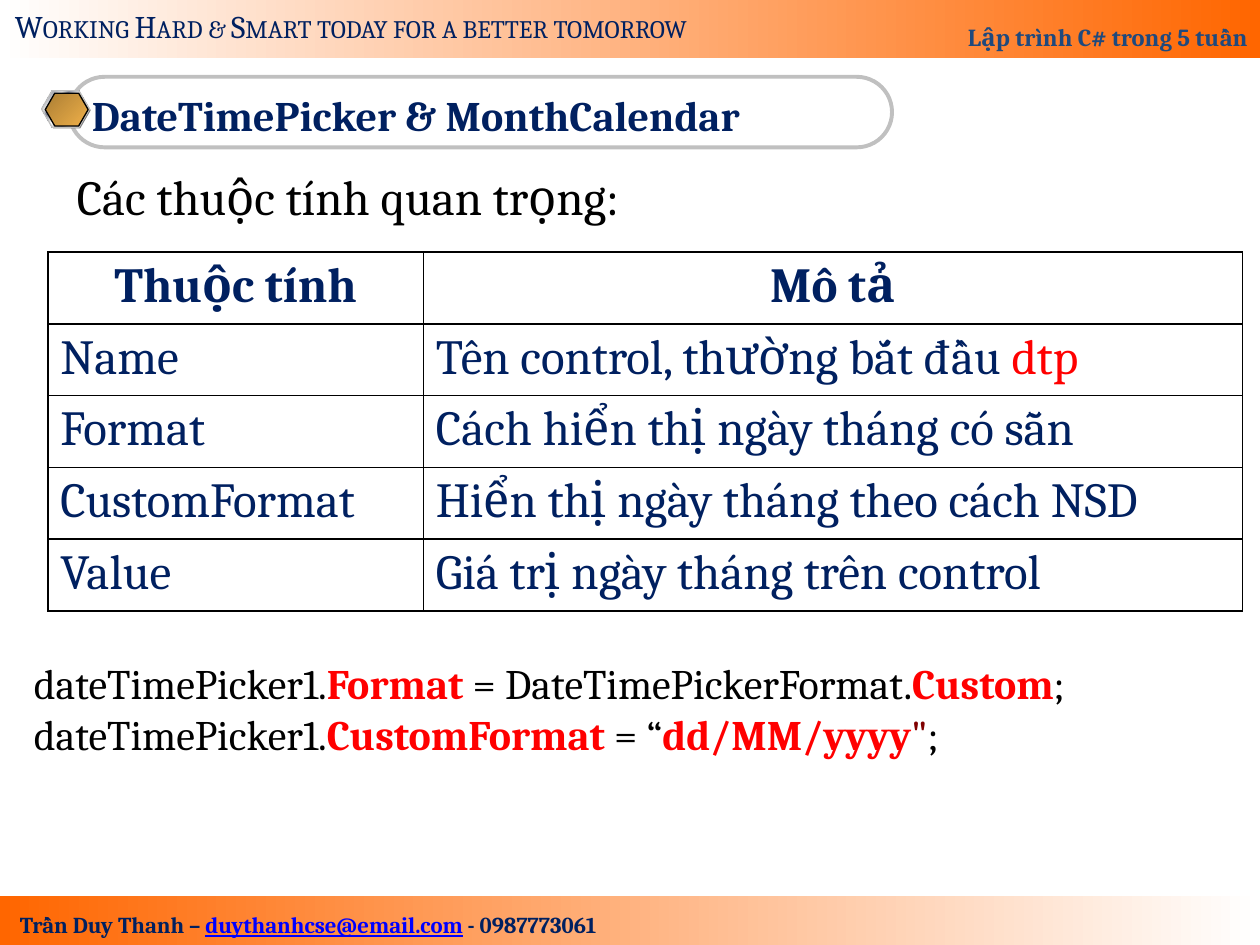
from lxml import etree
from pptx import Presentation
from pptx.dml.color import RGBColor
from pptx.enum.shapes import MSO_SHAPE
from pptx.enum.text import MSO_ANCHOR, PP_ALIGN
from pptx.oxml.ns import qn
from pptx.util import Inches, Pt

RECT, PILL, HEXAGON = MSO_SHAPE.RECTANGLE, MSO_SHAPE.ROUNDED_RECTANGLE, MSO_SHAPE.HEXAGON
LEFT, CENTER, RIGHT, JUSTIFY = PP_ALIGN.LEFT, PP_ALIGN.CENTER, PP_ALIGN.RIGHT, PP_ALIGN.JUSTIFY
TOP, MIDDLE, BOTTOM = MSO_ANCHOR.TOP, MSO_ANCHOR.MIDDLE, MSO_ANCHOR.BOTTOM

FONT = "Cambria"
WHITE = RGBColor(0xFF, 0xFF, 0xFF)
BLACK = RGBColor(0, 0, 0)
ORANGE = RGBColor(0xFF, 0x66, 0x00)
NAVY = RGBColor(0x00, 0x20, 0x60)
STEEL = RGBColor(0x1F, 0x49, 0x7D)
RED = RGBColor(0xFF, 0, 0)
MAROON = RGBColor(0x80, 0, 0)
LINK_BLUE = RGBColor(0, 0, 0xFF)
GRAY = RGBColor(0x80, 0x80, 0x80)
SILVER = RGBColor(0xC0, 0xC0, 0xC0)
PALE = RGBColor(0xE6, 0xE6, 0xE6)
SLATE = RGBColor(0x7D, 0x84, 0x96)
BRONZE = RGBColor(0xAB, 0x7E, 0x34)
GOLD = RGBColor(0xEF, 0xB0, 0x49)

CHROME = [(0, PALE), (7, SLATE), (26, PALE), (34, SLATE), (46, PALE), (50, WHITE),
          (54, PALE), (66, SLATE), (74, PALE), (93, SLATE), (100, PALE)]

ROWS = [
    ("Thuộc tính", [("Mô tả",)]),
    ("Name", [("Tên control, thường bắt đầu ",), ("dtp", RED)]),
    ("Format", [("Cách hiển thị ngày tháng có sẵn",)]),
    ("CustomFormat", [("Hiển thị ngày tháng theo cách NSD",)]),
    ("Value", [("Giá trị ngày tháng trên control",)]),
]
CODE = [
    [("dateTimePicker1.",), ("Format", RED, True), (" = DateTimePickerFormat.",),
     ("Custom", RED, True), (";",)],
    [("dateTimePicker1.",), ("CustomFormat", RED, True), (" = “",),
     ("dd/MM/yyyy", RED, True), ('"', MAROON), (";",)],
]


def write(p, runs, size, color, bold=False, align=LEFT):
    """Fill a paragraph with (text, color, bold) runs; the last two are optional."""
    p.alignment = align
    p.font.name, p.font.size, p.font.bold = FONT, Pt(size), bold
    p.font.color.rgb = color
    for text, *style in runs:
        r = p.add_run()
        r.text = text
        if style:
            r.font.color.rgb = style[0]
        if len(style) > 1:
            r.font.bold = style[1]


def set_gradient(sp, stops, angle=0):
    """Give a shape a linear gradient of (percent, color) stops."""
    sp.fill.gradient()
    sp.fill.gradient_angle = angle
    gs_list = sp._element.spPr.find(qn("a:gradFill")).find(qn("a:gsLst"))
    for gs in list(gs_list):
        gs_list.remove(gs)
    for percent, color in stops:
        gs = etree.SubElement(gs_list, qn("a:gs"), pos=str(percent * 1000))
        etree.SubElement(gs, qn("a:srgbClr"), val=str(color))


def add_shape(slide, kind, x, y, w, h, line=None, line_width=0.75):
    """Add a shape without shadow, outlined only if a line color is given."""
    sp = slide.shapes.add_shape(kind, Inches(x), Inches(y), Inches(w), Inches(h))
    sp.shadow.inherit = False
    if line is None:
        sp.line.fill.background()
    else:
        sp.line.color.rgb = line
        sp.line.width = Pt(line_width)
    return sp


def add_text(slide, x, y, w, h, wrap=False):
    """Add a text box and return its text frame."""
    tf = slide.shapes.add_textbox(Inches(x), Inches(y), Inches(w), Inches(h)).text_frame
    tf.word_wrap = wrap
    return tf


def use_placeholder(sp, x, y, w, h, anchor):
    """Move a placeholder and return its text frame."""
    sp.left, sp.top, sp.width, sp.height = Inches(x), Inches(y), Inches(w), Inches(h)
    tf = sp.text_frame
    tf.word_wrap = True
    tf.vertical_anchor = anchor
    return tf


def add_header(slide, x, y, w, h):
    """Top band with the motto on the left and the course on the right."""
    band = add_shape(slide, RECT, x, y, w, h)
    set_gradient(band, [(0, WHITE), (100, ORANGE)])
    tf = band.text_frame
    tf.vertical_anchor = BOTTOM
    p = tf.paragraphs[0]
    write(p, [("Lập trình C# trong 5 tuần",)], 14, STEEL, True, RIGHT)
    p.line_spacing = 1.8
    p = add_text(slide, x + 0.02, y + 0.01, 5.9, 0.4).paragraphs[0]
    write(p, [("Working Hard & Smart today for a better tomorrow",)], 18, NAVY)
    p.runs[0].font._element.set("cap", "small")


def add_footer(slide, x, y, w, h):
    """Bottom band with the author's contact line."""
    band = add_shape(slide, RECT, x, y, w, h)
    set_gradient(band, [(0, ORANGE), (100, WHITE)])
    p = add_text(slide, x + 0.06, y + 0.07, 4.8, 0.32).paragraphs[0]
    write(p, [("Trần Duy Thanh – ",), ("duythanhcse@email.com", LINK_BLUE),
              (" - 0987773061",)], 13, NAVY, True)
    p.runs[1].font.underline = True


def add_title(slide, x, y, w, h):
    """Title in a pill outline with a layered hexagon at its left end."""
    pill = add_shape(slide, PILL, x, y, w, h, SILVER, 2.25)
    pill.adjustments[0] = 0.5
    pill.fill.background()
    shade = add_shape(slide, HEXAGON, x - 0.21, y + 0.12, 0.38, 0.29)
    shade.fill.solid()
    shade.fill.fore_color.rgb = GRAY
    rim = add_shape(slide, HEXAGON, x - 0.22, y + 0.11, 0.38, 0.29, SILVER)
    set_gradient(rim, CHROME, 315)
    gem = add_shape(slide, HEXAGON, x - 0.19, y + 0.13, 0.34, 0.26, BLACK)
    set_gradient(gem, [(0, BRONZE), (100, GOLD)], 315)
    for hexagon in (shade, rim, gem):
        hexagon.adjustments[0] = 0.289
    tf = use_placeholder(slide.shapes.title, x + 0.08, y + 0.02, w - 0.16, h, MIDDLE)
    write(tf.paragraphs[0], [("DateTimePicker & MonthCalendar",)], 24, NAVY, True)


def add_intro(slide, x, y, w, h):
    """Lead-in line in the body placeholder, without a bullet."""
    p = use_placeholder(slide.placeholders[1], x, y, w, h, TOP).paragraphs[0]
    write(p, [("Các thuộc tính quan trọng:",)], 28, BLACK, align=JUSTIFY)
    p.space_before = Pt(0)
    p_pr = p._p.get_or_add_pPr()
    p_pr.set("marL", "0")
    p_pr.set("indent", "0")
    p_pr.find(qn("a:spcBef")).addnext(etree.Element(qn("a:buNone")))


def set_borders(cell):
    """Draw a thin black line on all four sides of a cell."""
    tc_pr = cell._tc.get_or_add_tcPr()
    for i, side in enumerate(("a:lnL", "a:lnR", "a:lnT", "a:lnB")):
        ln = etree.Element(qn(side), w=str(Pt(1)))
        fill = etree.SubElement(ln, qn("a:solidFill"))
        etree.SubElement(fill, qn("a:srgbClr"), val=str(BLACK))
        tc_pr.insert(i, ln)


def add_properties(slide, x, y, widths, row_height):
    """Table of properties and their descriptions."""
    table = slide.shapes.add_table(
        len(ROWS), len(widths), Inches(x), Inches(y),
        Inches(sum(widths)), Inches(row_height * len(ROWS))).table
    for column, width in zip(table.columns, widths):
        column.width = Inches(width)
    for i, (name, description) in enumerate(ROWS):
        head = i == 0
        for j, runs in enumerate(([(name,)], description)):
            cell = table.cell(i, j)
            cell.fill.background()
            set_borders(cell)
            write(cell.text_frame.paragraphs[0], runs, 28, NAVY, head, CENTER if head else LEFT)


def add_code(slide, x, y, w, h):
    """Code sample, one paragraph a line."""
    tf = add_text(slide, x, y, w, h, wrap=True)
    for i, runs in enumerate(CODE):
        p = tf.add_paragraph() if i else tf.paragraphs[0]
        write(p, runs, 24, BLACK)


prs = Presentation()
prs.slide_width, prs.slide_height = Inches(10), Inches(7.5)
slide = prs.slides.add_slide(prs.slide_layouts[1])
add_footer(slide, 0, 7.11, 10, 0.39)
add_header(slide, 0, 0, 10, 0.46)
add_title(slide, 0.55, 0.61, 6.53, 0.56)
add_intro(slide, 0.51, 1.27, 9.2, 0.57)
add_properties(slide, 0.38, 2, (2.98, 6.5), 0.57)
add_code(slide, 0.17, 5.17, 9.53, 0.91)
# The title's text belongs in front of its pill and hexagon.
slide.shapes._spTree.append(slide.shapes.title._element)
prs.save("out.pptx")
